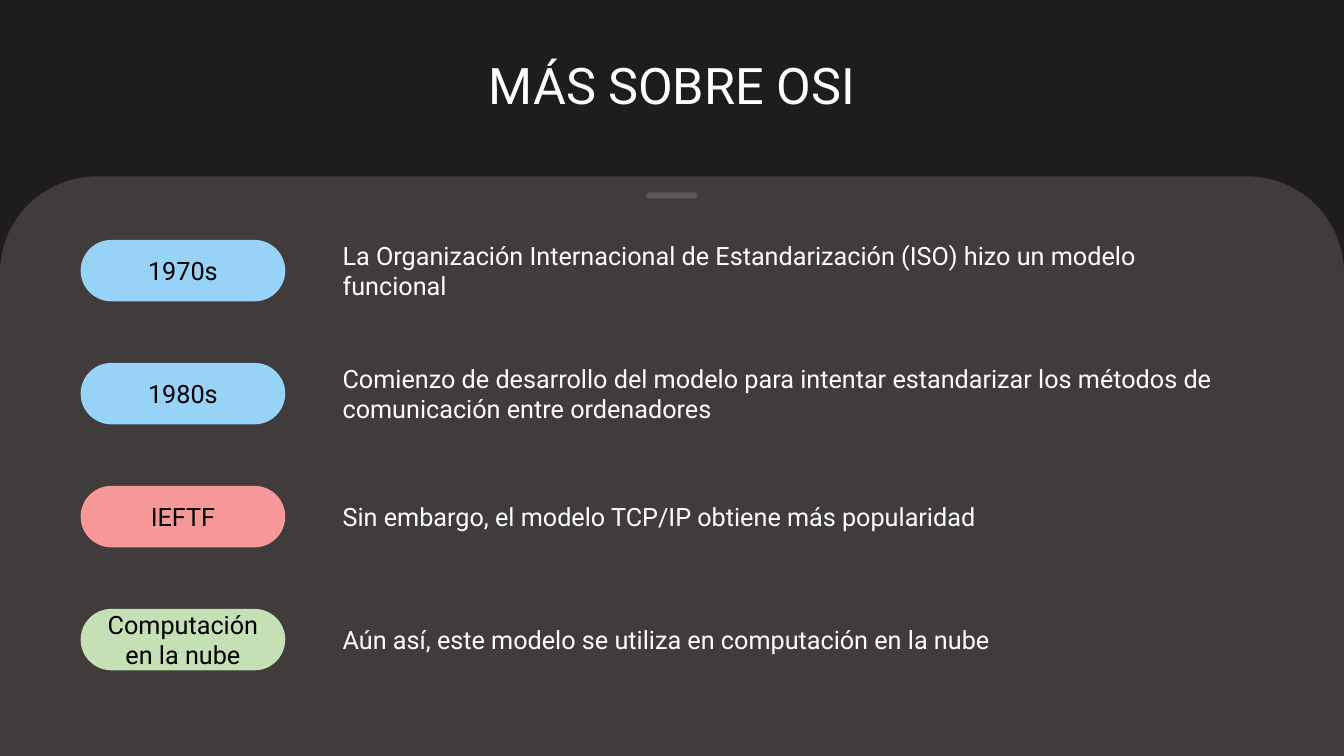
from pptx import Presentation
from pptx.dml.color import RGBColor
from pptx.enum.shapes import MSO_SHAPE as SHAPE
from pptx.enum.text import MSO_ANCHOR as ANCHOR, PP_ALIGN as ALIGN
from pptx.oxml.ns import qn
from pptx.util import Inches, Pt
from lxml import etree

TITLE = "MÁS SOBRE OSI"
# label, pill colour, description, description height
ROWS = [
    ("1970s", "97D2F7", "La Organización Internacional de Estandarización (ISO) "
     "hizo un modelo funcional", 0.71),
    ("1980s", "97D2F7", "Comienzo de desarrollo del modelo para intentar estandarizar "
     "los métodos de comunicación entre ordenadores", 0.71),
    ("IEFTF", "F69898", "Sin embargo, el modelo TCP/IP obtiene más popularidad", 0.4),
    ("Computación en la nube", "C5E0B5",
     "Aún así, este modelo se utiliza en computación en la nube", 0.4),
]
FONT, WHITE, BLACK = "Roboto", "FFFFFF", "000000"
WIDTH, HEIGHT, HEADER_H = 13.33, 7.5, 1.75
PILL_X, PILL_W, PILL_H = 0.8, 2.03, 0.61
TEXT_X, TEXT_W = 3.3, 9.04
FIRST_Y, PITCH = 2.38, 1.22
HANDLE_W, HANDLE_H = 0.51, 0.06


def rgb(color):
    return RGBColor.from_string(color)


def box(x, y, w, h):
    return [Inches(v) for v in (x, y, w, h)]


def add_panel(kind, x, y, w, h, color):
    """Add a filled shape without outline or shadow."""
    sp = s.shapes.add_shape(kind, *box(x, y, w, h))
    sp.shadow.inherit = False
    sp.fill.solid()
    sp.fill.fore_color.rgb = rgb(color)
    sp.line.fill.background()
    if kind == SHAPE.ROUNDED_RECTANGLE:
        sp.adjustments[0] = 0.5
    return sp


def write(sp, text, size, color, align):
    """Write one vertically centred paragraph."""
    tf = sp.text_frame
    tf.word_wrap = True
    tf.vertical_anchor = ANCHOR.MIDDLE
    p = tf.paragraphs[0]
    p.alignment = align
    r = p.add_run()
    r.text = text
    r.font.name, r.font.size = FONT, Pt(size)
    r.font.color.rgb = rgb(color)
    return p


prs = Presentation()
prs.slide_width, prs.slide_height = Inches(WIDTH), Inches(HEIGHT)
s = prs.slides.add_slide(prs.slide_layouts[5])
s.background.fill.solid()
s.background.fill.fore_color.rgb = rgb("1F1C1E")

add_panel(SHAPE.ROUND_2_SAME_RECTANGLE, 0, HEADER_H, WIDTH, HEIGHT - HEADER_H, "413C3C")

title = s.shapes.title
title.left, title.top, title.width, title.height = box(1, 0, WIDTH - 2, HEADER_H)
write(title, TITLE, 36, WHITE, ALIGN.CENTER).line_spacing = 0.9

handle = add_panel(SHAPE.ROUNDED_RECTANGLE, (WIDTH - HANDLE_W) / 2, 1.91,
                   HANDLE_W, HANDLE_H, WHITE)
handle_color = handle.fill._xPr.find(qn("a:solidFill"))[0]
etree.SubElement(handle_color, qn("a:alpha"), val="15000")

for i, (label, color, description, text_h) in enumerate(ROWS):
    y = FIRST_Y + i * PITCH
    pill = add_panel(SHAPE.ROUNDED_RECTANGLE, PILL_X, y, PILL_W, PILL_H, color)
    write(pill, label, 18, BLACK, ALIGN.CENTER)
    text_y = y + (PILL_H - text_h) / 2
    tb = s.shapes.add_textbox(*box(TEXT_X, text_y, TEXT_W, text_h))
    write(tb, description, 18, WHITE, ALIGN.LEFT)

prs.save("out.pptx")
